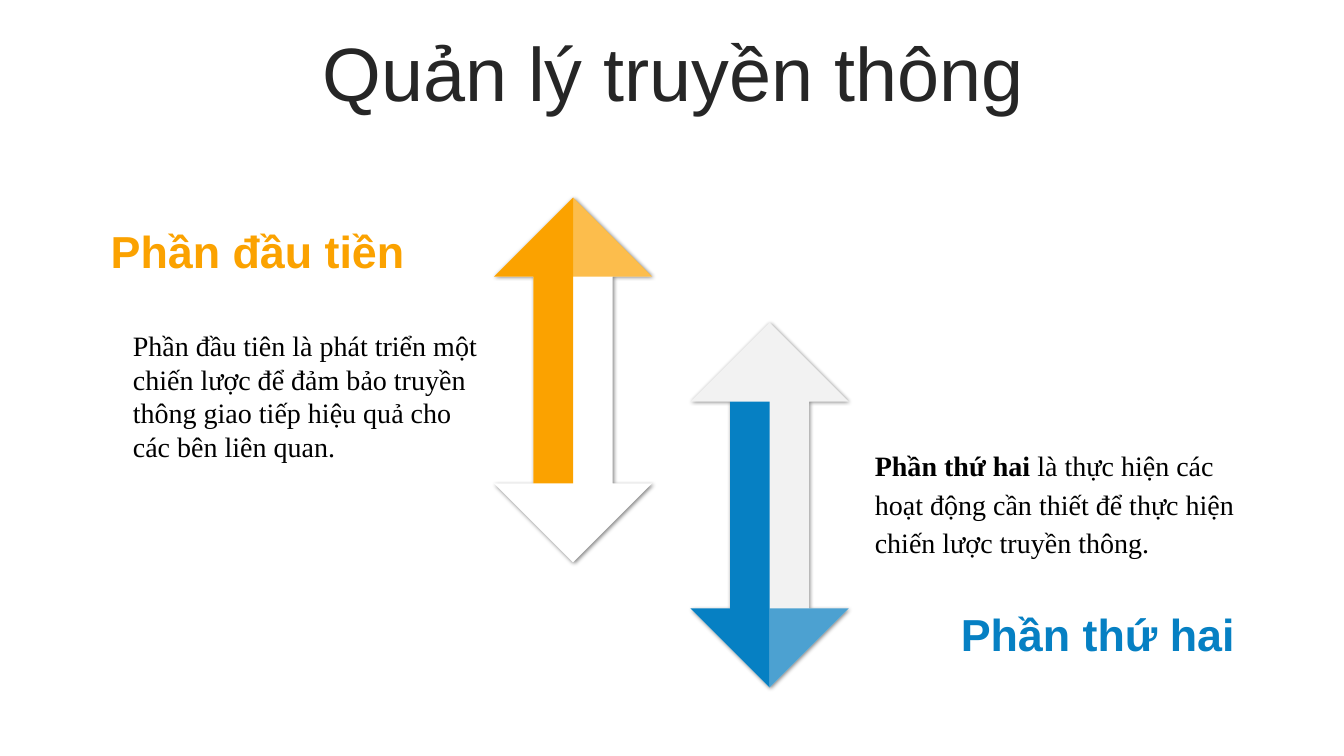
from dataclasses import dataclass

from lxml import etree
from pptx import Presentation
from pptx.dml.color import RGBColor
from pptx.enum.shapes import MSO_SHAPE
from pptx.enum.text import MSO_ANCHOR, MSO_AUTO_SIZE, PP_ALIGN
from pptx.oxml.ns import qn
from pptx.util import Inches, Pt

LEFT, CENTER, RIGHT = PP_ALIGN.LEFT, PP_ALIGN.CENTER, PP_ALIGN.RIGHT
TOP, MIDDLE = MSO_ANCHOR.TOP, MSO_ANCHOR.MIDDLE
GROW, FIXED = MSO_AUTO_SIZE.SHAPE_TO_FIT_TEXT, MSO_AUTO_SIZE.NONE
UP_DOWN_ARROW = MSO_SHAPE.UP_DOWN_ARROW

COLUMNS, ROWS = 133.33, 75
CELL = Inches(0.1)
ARROW_WIDTH, ARROW_HEIGHT = 15.7, 36.2
HEAD = ARROW_WIDTH / 2
STEM = ARROW_WIDTH / 4


@dataclass(frozen=True)
class Theme:
    heading_font: str = "Arial"
    body_font: str = "Times New Roman"
    title_size: int = 54
    heading_size: int = 32
    body_size: int = 20
    title: str = "262626"
    body: str = "000000"
    shadow: str = "000000"
    orange: str = "FBA200"
    blue: str = "0680C3"
    white: str = "FFFFFF"
    grey: str = "F2F2F2"


def cells(*lengths):
    return [round(length * CELL) for length in lengths]


def add_alpha(color_element, percent):
    etree.SubElement(color_element, qn("a:alpha"), val=str(percent * 1000))


class SlideBuilder:
    def __init__(self, slide, theme):
        self.slide = slide
        self.theme = theme

    def text(self, content, at, font, size, color, align=LEFT, anchor=TOP,
             auto_size=GROW, bold=False, **spacing):
        """Add a one-paragraph box; content is a string or (string, bold) pairs."""
        box = self.slide.shapes.add_textbox(*cells(*at))
        frame = box.text_frame
        frame.word_wrap = True
        frame.auto_size = auto_size
        frame.vertical_anchor = anchor
        para = frame.paragraphs[0]
        para.alignment = align
        for name, value in spacing.items():
            setattr(para, name, value)
        spans = [(content, bold)] if isinstance(content, str) else content
        for words, is_bold in spans:
            span = para.add_run()
            span.text = words
            span.font.name = font
            span.font.size = Pt(size)
            span.font.bold = is_bold
            span.font.color.rgb = RGBColor.from_string(color)

    def title(self, content, at):
        theme = self.theme
        self.text(content, at, theme.heading_font, theme.title_size, theme.title,
                  align=CENTER, anchor=MIDDLE, auto_size=FIXED,
                  line_spacing=0.9, space_before=Pt(10))

    def heading(self, content, at, color, align=LEFT):
        theme = self.theme
        self.text(content, at, theme.heading_font, theme.heading_size, color,
                  align=align, anchor=MIDDLE, bold=True)

    def body(self, content, at, **spacing):
        theme = self.theme
        self.text(content, at, theme.body_font, theme.body_size, theme.body, **spacing)

    def paint(self, shape, color, opacity=100):
        shape.shadow.inherit = False
        shape.line.fill.background()
        shape.fill.solid()
        shape.fill.fore_color.rgb = RGBColor.from_string(color)
        if opacity < 100:
            add_alpha(shape.fill._xPr.find(".//" + qn("a:srgbClr")), opacity)

    def drop_shadow(self, shape):
        effects = shape._element.spPr.find(qn("a:effectLst"))
        shadow = etree.SubElement(
            effects, qn("a:outerShdw"), blurRad=str(Pt(3)), dist=str(Pt(1)),
            dir=str(45 * 60000), algn="tl", rotWithShape="0")
        color = etree.SubElement(shadow, qn("a:srgbClr"), val=self.theme.shadow)
        add_alpha(color, 47)

    def outline(self, group, points, color, opacity=100):
        corners = [cells(*point) for point in points]
        builder = group.shapes.build_freeform(*corners[0], scale=1.0)
        builder.add_line_segments(corners[1:], close=True)
        self.paint(builder.convert_to_shape(), color, opacity)

    def split_arrow(self, left, top, base, color, points_up):
        """Add a double arrow whose left half and one whole head are coloured."""
        group = self.slide.shapes.add_group_shape()
        arrow = group.shapes.add_shape(
            UP_DOWN_ARROW, *cells(left, top, ARROW_WIDTH, ARROW_HEIGHT))
        self.paint(arrow, base)
        self.drop_shadow(arrow)

        middle = left + HEAD
        tip, step = (top, 1) if points_up else (top + ARROW_HEIGHT, -1)
        neck = tip + step * HEAD
        stem_end = tip + step * (ARROW_HEIGHT - HEAD)
        self.outline(group, [(middle, tip), (middle, stem_end), (middle - STEM, stem_end),
                             (middle - STEM, neck), (left, neck)], color)
        self.outline(group, [(middle, tip), (left + ARROW_WIDTH, neck), (middle, neck)],
                     color, opacity=70)


def main():
    deck = Presentation()
    deck.slide_width, deck.slide_height = cells(COLUMNS, ROWS)
    theme = Theme()
    page = SlideBuilder(deck.slides.add_slide(deck.slide_layouts[6]), theme)

    page.title("Quản lý truyền thông", (3.5, 3.7, 126.6, 7.9))
    page.heading("Phần đầu tiền", (10, 21.7, 37.2, 6.4), theme.orange)
    page.heading("Phần thứ hai", (88.1, 59.7, 35.4, 6.4), theme.blue, align=RIGHT)
    page.split_arrow(49, 19.6, theme.white, theme.orange, points_up=True)
    page.split_arrow(68.5, 32, theme.grey, theme.blue, points_up=False)
    page.body("Phần đầu tiên là phát triển một chiến lược để đảm bảo truyền thông "
              "giao tiếp hiệu quả cho các bên liên quan.", (12.2, 32.1, 36.7, 14.5))
    page.body([("Phần thứ hai ", True),
               ("là thực hiện các hoạt động cần thiết để thực hiện "
                "chiến lược truyền thông.", False)],
              (85.8, 43.5, 39.8, 12.3), line_spacing=1.15, space_after=Pt(10))
    deck.save("out.pptx")


if __name__ == "__main__":
    main()
